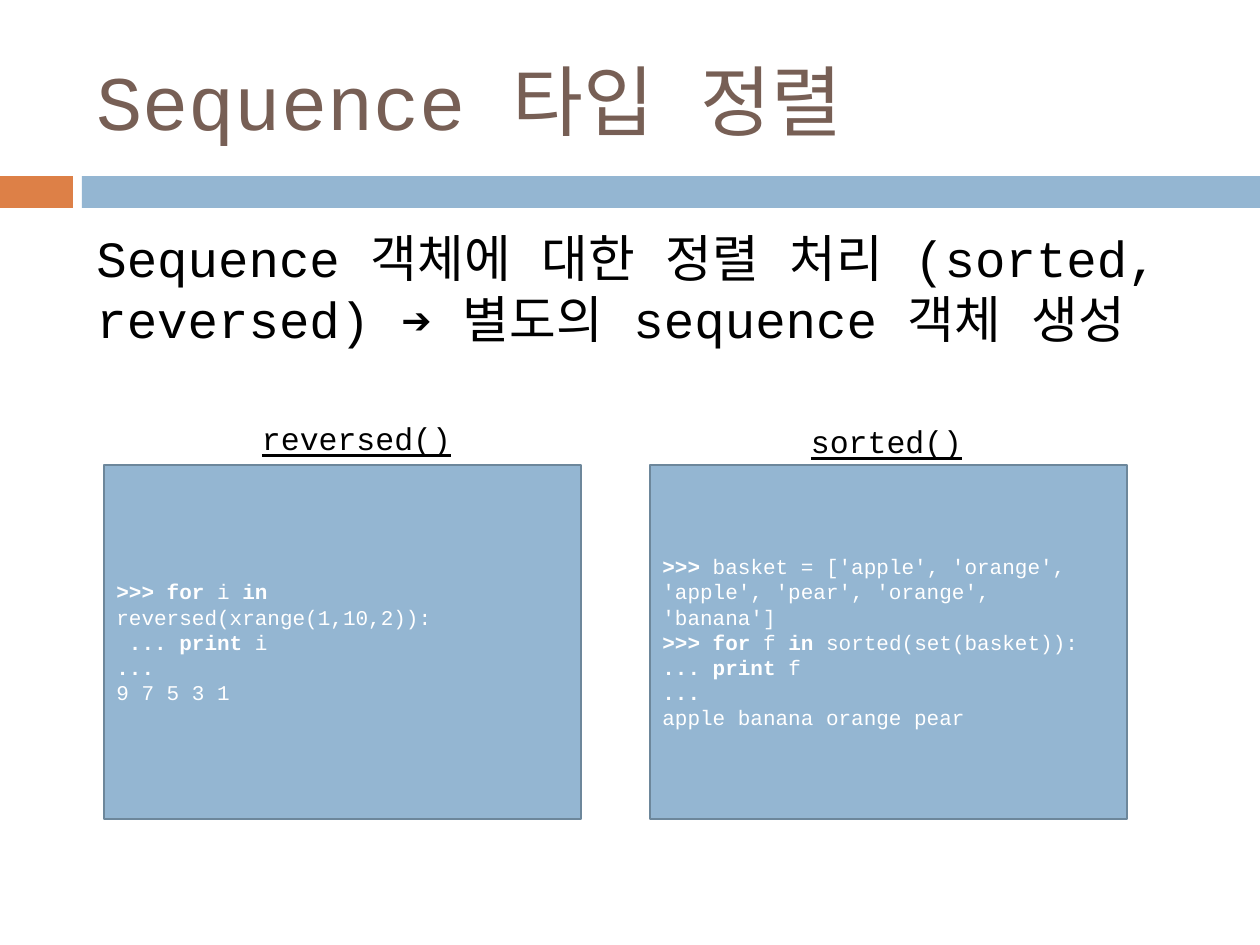
import pptx
import pptx.util
import pptx.dml.color
import pptx.enum.shapes
import pptx.enum.text
import pptx.oxml.ns
import lxml.etree

PX = 914400 / 126
FONT = "Courier New"
COLORS = {"orange": "DD8047", "blue": "94B6D2", "outline": "6D879B",
          "title": "775F55", "text": "000000", "code": "FFFFFF"}

deck = pptx.Presentation()
deck.slide_width = pptx.util.Inches(10)
deck.slide_height = pptx.util.Inches(7.5)
page = deck.slides.add_slide(deck.slide_layouts[6])


def add_box(bounds, fill=None):
    """Add a filled rectangle, or a text box when no fill is given."""
    place = [round(length * PX) for length in bounds]
    if fill is None:
        box = page.shapes.add_textbox(*place)
    else:
        box = page.shapes.add_shape(pptx.enum.shapes.MSO_SHAPE.RECTANGLE, *place)
        box.shadow.inherit = False
        box.fill.solid()
        box.fill.fore_color.rgb = pptx.dml.color.RGBColor.from_string(COLORS[fill])
        box.line.fill.background()
    box.text_frame.word_wrap = True
    return box


def style_span(span, size, color):
    span.font.size = pptx.util.Pt(size)
    span.font.name = FONT
    span.font.color.rgb = pptx.dml.color.RGBColor.from_string(COLORS[color])
    east_asian = lxml.etree.Element(pptx.oxml.ns.qn("a:ea"), typeface=FONT)
    span.font._element.find(pptx.oxml.ns.qn("a:latin")).addnext(east_asian)


# Title band
add_box((0, 176, 73, 32), "orange")
add_box((82, 176, 1178, 32), "blue")

# Title and statement
for bounds, text, size, color, anchor in [
    ((84, 32, 1124, 136), "Sequence 타입 정렬", 44, "title", "MIDDLE"),
    ((84, 221, 1124, 142),
     "Sequence 객체에 대한 정렬 처리 (sorted, reversed) ➔ 별도의 sequence 객체 생성",
     29, "text", "TOP"),
]:
    box = add_box(bounds)
    box.text_frame.vertical_anchor = pptx.enum.text.MSO_ANCHOR[anchor]
    box.text_frame.text = text
    style_span(box.text_frame.paragraphs[0].runs[0], size, color)

# Code panels: asterisks enclose the bold parts of a line
examples = [
    ("reversed()", 203, 413, 104, [
        "*>>> for *i *in* reversed(xrange(1,10,2)):",
        " *... print *i",
        "*...*",
        "9 7 5 3 1",
    ]),
    ("sorted()", 733, 416, 650, [
        "*>>> *basket = ['apple', 'orange', 'apple', 'pear', 'orange', 'banana']",
        "*>>> for* f *in* sorted(set(basket)):",
        "*... print *f",
        "*...*",
        "apple banana orange pear",
    ]),
]
for name, label_left, label_top, panel_left, lines in examples:
    panel = add_box((panel_left, 465, 477, 354), "blue")
    panel.line.color.rgb = pptx.dml.color.RGBColor.from_string(COLORS["outline"])
    panel.line.width = pptx.util.Pt(1.5)
    frame = panel.text_frame
    frame.vertical_anchor = pptx.enum.text.MSO_ANCHOR.MIDDLE
    for number, line in enumerate(lines):
        para = frame.add_paragraph() if number else frame.paragraphs[0]
        para.alignment = pptx.enum.text.PP_ALIGN.LEFT
        for index, part in enumerate(line.split("*")):
            if part:
                span = para.add_run()
                span.text = part
                style_span(span, 12, "code")
                span.font.bold = index % 2 == 1

    label = add_box((label_left, label_top, 307, 50))
    label.text_frame.text = name
    para = label.text_frame.paragraphs[0]
    para.alignment = pptx.enum.text.PP_ALIGN.CENTER
    style_span(para.runs[0], 18, "text")
    para.runs[0].font.underline = True

deck.save("out.pptx")
